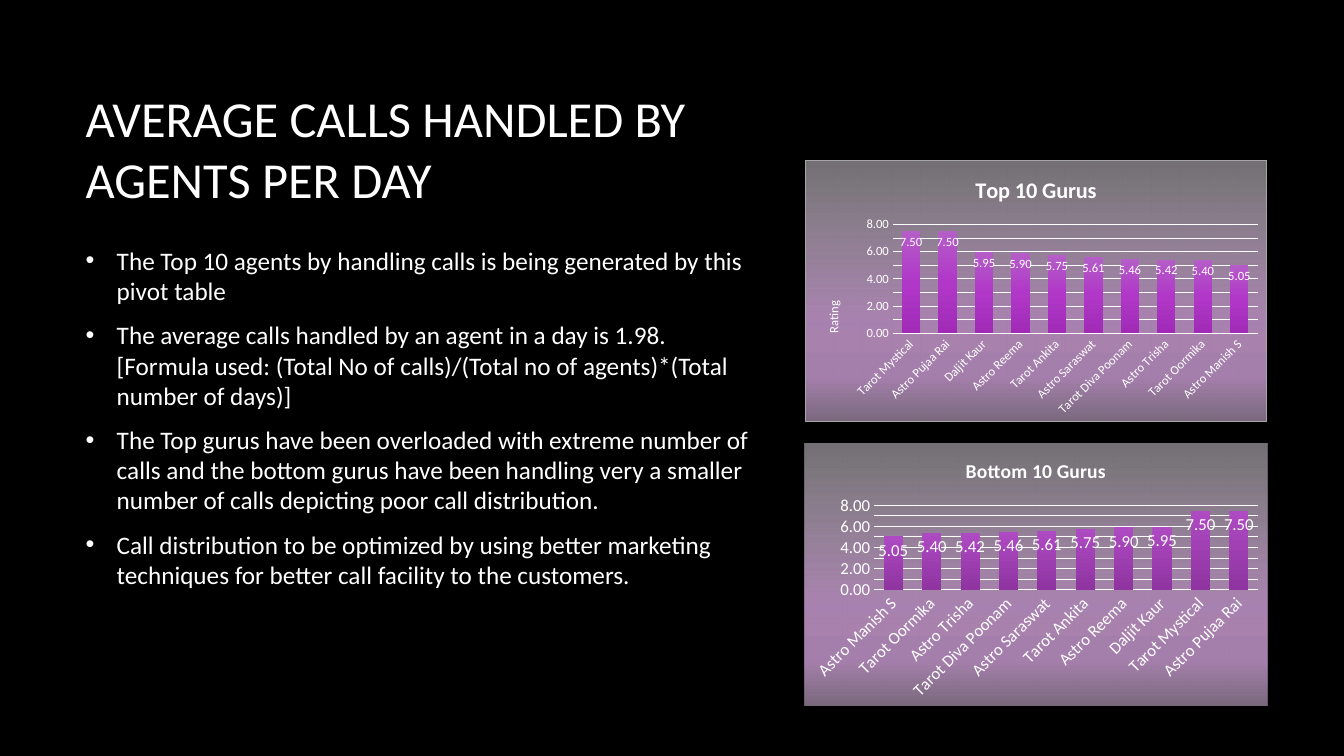
from copy import deepcopy

from lxml import etree
from pptx import Presentation
from pptx.chart.data import CategoryChartData
from pptx.dml.color import RGBColor
from pptx.enum.chart import XL_CHART_TYPE as ChartType, XL_LABEL_POSITION as LabelPosition
from pptx.enum.chart import XL_TICK_MARK as TickMark
from pptx.enum.text import MSO_ANCHOR as Anchor
from pptx.oxml import parse_xml
from pptx.oxml.ns import nsdecls, qn
from pptx.util import Inches, Pt

FONT = "Calibri"
WHITE = "FFFFFF"
TITLE = "AVERAGE CALLS HANDLED BY AGENTS PER DAY"
BULLETS = [
    "The Top 10 agents by handling calls is being generated by this pivot table",
    "The average calls handled by an agent in a day is 1.98. [Formula used: "
    "(Total No of calls)/(Total no of agents)*(Total number of days)]",
    "The Top gurus have been overloaded with extreme number of calls and the bottom gurus "
    "have been handling very a smaller number of calls depicting poor call distribution.",
    "Call distribution to be optimized by using better marketing techniques for better "
    "call facility to the customers.",
]
TOP_GURUS = [
    ("Tarot Mystical", 7.5), ("Astro Pujaa Rai", 7.5), ("Daljit Kaur", 5.95),
    ("Astro Reema", 5.9), ("Tarot Ankita", 5.75), ("Astro Saraswat", 5.61),
    ("Tarot Diva Poonam", 5.46), ("Astro Trisha", 5.42), ("Tarot Oormika", 5.4),
    ("Astro Manish S", 5.05),
]
BOTTOM_GURUS = TOP_GURUS[:1:-1] + TOP_GURUS[:2]
PANEL_STOPS = [(0, "FBF5FC", 45), (61, "DAA8E3", 77), (83, "DAA8E3", 75), (100, "E6C5EC", 52)]
CHARTS = [
    {"title": "Top 10 Gurus", "title_size": 16, "size": 9, "top": 1.59, "gurus": TOP_GURUS,
     "axis_title": "Rating", "border": "A6A6A6",
     "bars": [(0, "B55DC8", 100), (50, "B037C8", 100), (100, "A12BB7", 100)]},
    {"title": "Bottom 10 Gurus", "title_size": 14, "size": 12, "top": 4.4, "gurus": BOTTOM_GURUS,
     "axis_title": None, "border": None,
     "bars": [(0, "AE4AC2", 100), (100, "8F34A1", 100)]},
]


def color(hex_value):
    return RGBColor.from_string(hex_value)


def set_font(font, size, bold=False):
    font.name = FONT
    font.size = Pt(size)
    font.bold = bold
    font.color.rgb = color(WHITE)


def set_line(line, hex_value, width):
    line.color.rgb = color(hex_value)
    line.width = Pt(width)


def gradient(stops):
    stop_xml = "".join(
        f'<a:gs pos="{position * 1000}"><a:srgbClr val="{hex_value}">'
        f'<a:alpha val="{alpha * 1000}"/></a:srgbClr></a:gs>'
        for position, hex_value, alpha in stops)
    return parse_xml(f'<a:gradFill {nsdecls("a")} rotWithShape="1"><a:gsLst>{stop_xml}</a:gsLst>'
                     '<a:lin ang="5400000" scaled="0"/></a:gradFill>')


def add_text(slide, top, height, lines, size):
    box = slide.shapes.add_textbox(Inches(0.75), Inches(top), Inches(6.87), Inches(height))
    frame = box.text_frame
    frame.word_wrap = True
    frame.vertical_anchor = Anchor.MIDDLE
    frame.text = "\n".join(lines)
    for paragraph in frame.paragraphs:
        set_font(paragraph.font, size)
    return frame


def add_bullet(paragraph):
    paragraph.space_after = Pt(10)
    properties = paragraph._p.get_or_add_pPr()
    properties.set("marL", str(Inches(0.31)))
    properties.set("indent", str(-Inches(0.31)))
    bullet_color = parse_xml(f'<a:buClr {nsdecls("a")}><a:srgbClr val="{WHITE}"/></a:buClr>')
    bullet_font = parse_xml(f'<a:buFont {nsdecls("a")} typeface="Arial"/>')
    bullet = parse_xml(f'<a:buChar {nsdecls("a")} char="•"/>')
    properties.find(qn("a:spcAft")).addnext(bullet_color)
    bullet_color.addnext(bullet_font)
    bullet_font.addnext(bullet)


def fill_panel(chart, border):
    chart_space = chart._chartSpace
    panel = etree.Element(qn("c:spPr"))
    panel.append(gradient(PANEL_STOPS))
    outline = etree.SubElement(panel, qn("a:ln"), w=str(Pt(0.75)))
    if border:
        fill = etree.SubElement(outline, qn("a:solidFill"))
        etree.SubElement(fill, qn("a:srgbClr"), val=border)
    else:
        etree.SubElement(outline, qn("a:noFill"))
    chart_space.find(qn("c:chart")).addnext(panel)


def style_gridlines(axis):
    axis.has_major_gridlines = axis.has_minor_gridlines = True
    set_line(axis.major_gridlines.format.line, WHITE, 0.75)
    major = axis._element.find(qn("c:majorGridlines"))
    minor = axis._element.find(qn("c:minorGridlines"))
    minor.append(deepcopy(major.find(qn("c:spPr"))))


def add_guru_chart(slide, design):
    data = CategoryChartData(number_format="0.00")
    data.categories = [name for name, _ in design["gurus"]]
    data.add_series("Series 1", [rating for _, rating in design["gurus"]])
    chart = slide.shapes.add_chart(
        ChartType.COLUMN_CLUSTERED, Inches(7.98), Inches(design["top"]),
        Inches(4.59), Inches(2.6), data).chart
    set_font(chart.font, 10)
    chart.has_legend = False
    chart.has_title = True
    chart.chart_title.include_in_layout = False
    title_frame = chart.chart_title.text_frame
    title_frame.text = design["title"]
    set_font(title_frame.paragraphs[0].font, design["title_size"], True)

    for axis in (chart.category_axis, chart.value_axis):
        axis.major_tick_mark = axis.minor_tick_mark = TickMark.NONE
        set_font(axis.tick_labels.font, design["size"])
    set_line(chart.category_axis.format.line, WHITE, 1)
    values = chart.value_axis
    values.minimum_scale, values.maximum_scale = 0, 8
    values.major_unit, values.minor_unit = 2, 1
    style_gridlines(values)
    values.format.line.fill.background()
    values.tick_labels.number_format = "0.00"
    values.tick_labels.number_format_is_linked = False
    if design["axis_title"]:
        axis_frame = values.axis_title.text_frame
        axis_frame.text = design["axis_title"]
        set_font(axis_frame.paragraphs[0].font, 9)

    plot = chart.plots[0]
    plot.gap_width = 100
    plot.overlap = -24
    plot.vary_by_categories = False
    plot.has_data_labels = True
    labels = plot.data_labels
    labels.show_value = True
    labels.position = LabelPosition.INSIDE_END
    labels.number_format = "0.00"
    labels.number_format_is_linked = False
    set_font(labels.font, design["size"])
    plot.series[0]._element.get_or_add_spPr().append(gradient(design["bars"]))
    fill_panel(chart, design["border"])


def main():
    presentation = Presentation()
    presentation.slide_width = Inches(13.33)
    presentation.slide_height = Inches(7.5)
    slide = presentation.slides.add_slide(presentation.slide_layouts[6])
    slide.background.fill.solid()
    slide.background.fill.fore_color.rgb = color("000000")
    add_text(slide, 0.67, 1.59, [TITLE], 36)
    for paragraph in add_text(slide, 2.34, 3.6, BULLETS, 18).paragraphs:
        add_bullet(paragraph)
    for design in CHARTS:
        add_guru_chart(slide, design)
    presentation.save("out.pptx")


if __name__ == "__main__":
    main()
